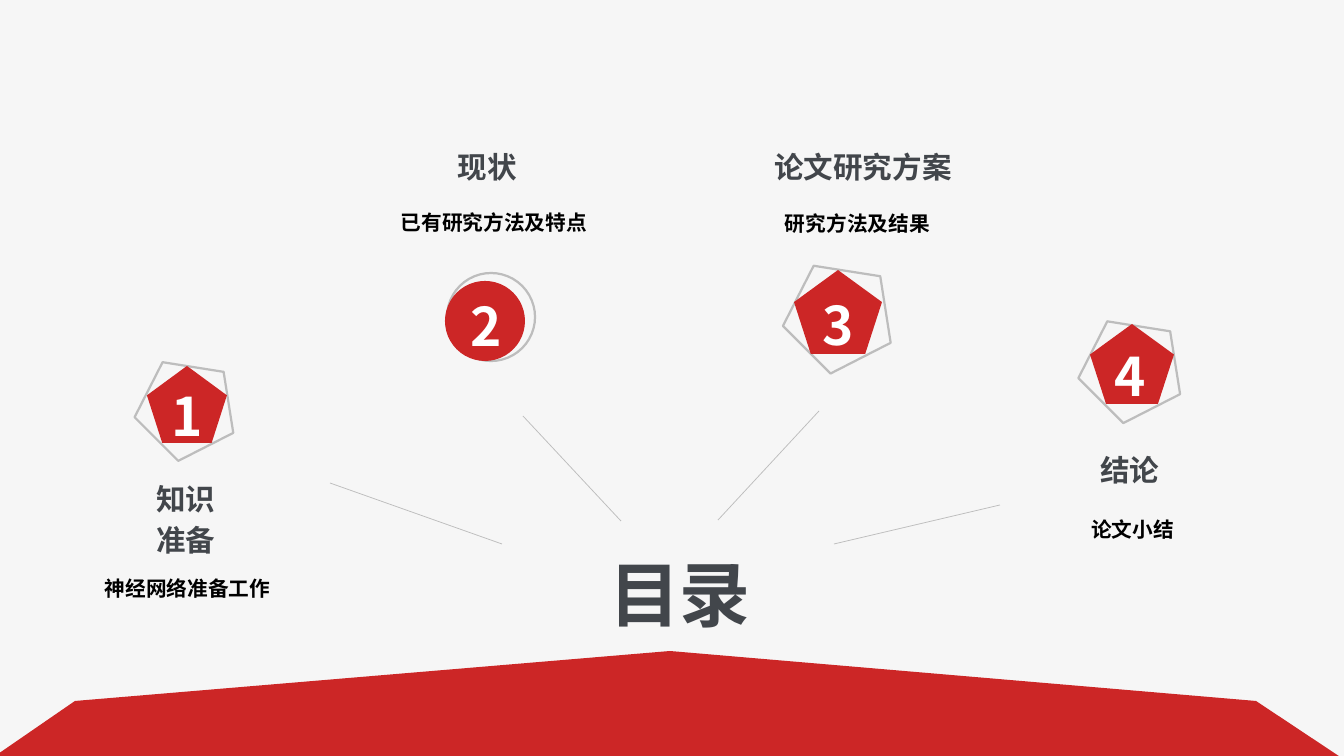
from lxml.etree import SubElement
from pptx import Presentation
from pptx.dml.color import RGBColor
from pptx.enum.shapes import MSO_CONNECTOR, MSO_SHAPE as SHAPE
from pptx.enum.text import MSO_ANCHOR as ANCHOR, MSO_AUTO_SIZE as AUTO, PP_ALIGN as ALIGN
from pptx.oxml.ns import qn
from pptx.util import Emu, Pt

PX = 8602  # EMU in one px
FONT = "Noto Sans CJK SC"
COLORS = {"paper": "F6F6F6", "red": "CC2626", "gray": "BDBDBD",
          "slate": "42464B", "black": "000000", "white": "FFFFFF"}

# Boxes are (left, top, width, height) in px
TOPICS = [
    dict(badge=SHAPE.REGULAR_PENTAGON, fill=(147, 366, 80, 77), ring=(140, 358, 100, 95),
         number=(145, 372, 85, 77), head=(125, 474, 122, 86), sub=(97, 571, 181, 32),
         title="知识\n准备", detail="神经网络准备工作"),
    dict(badge=SHAPE.OVAL, fill=(445, 281, 80, 80), ring=(447, 273, 88, 88),
         number=(434, 282, 104, 77), head=(364, 142, 247, 45), sub=(395, 205, 198, 32),
         title="现状", detail="已有研究方法及特点"),
    dict(badge=SHAPE.REGULAR_PENTAGON, fill=(794, 270, 88, 84), ring=(789, 261, 109, 104),
         number=(791, 281, 94, 77), head=(757, 142, 212, 45), sub=(767, 206, 181, 32),
         title="论文研究方案", detail="研究方法及结果"),
    dict(badge=SHAPE.REGULAR_PENTAGON, fill=(1090, 324, 84, 80), ring=(1084, 317, 103, 98),
         number=(1086, 332, 88, 77), head=(1081, 445, 98, 45), sub=(1042, 512, 181, 32),
         title="结论", detail="论文小结"),
]
RAYS = [(330, 483, 502, 544), (523, 416, 621, 521),
        (819, 411, 718, 520), (1000, 505, 834, 544)]
BASE = [(-34, 776), (75, 701), (670, 651), (1256, 701), (1372, 778)]


def emu(values):
    return [Emu(v * PX) for v in values]


def rgb(name):
    return RGBColor.from_string(COLORS[name])


def write(sp, text, *, size, color="slate"):
    tf = sp.text_frame
    tf.word_wrap = True
    tf.auto_size = AUTO.NONE
    tf.vertical_anchor = ANCHOR.TOP
    tf.margin_left = tf.margin_right = Emu(3 * PX)
    tf.margin_top = tf.margin_bottom = Emu(PX)
    tf.text = text
    for p in tf.paragraphs:
        p.alignment = ALIGN.CENTER
        p.line_spacing = 1.16
        for r in p.runs:
            r.font.size = Pt(size)
            r.font.bold = True
            r.font.color.rgb = rgb(color)
            r.font.name = FONT
            SubElement(r.font._element, qn("a:ea"), typeface=FONT)


def add_text(s, box, text, **fmt):
    write(s.shapes.add_textbox(*emu(box)), text, **fmt)


def paint(sp, fill=None, line=None):
    sp.shadow.inherit = False
    if fill:
        sp.fill.solid()
        sp.fill.fore_color.rgb = rgb(fill)
    else:
        sp.fill.background()
    if line:
        sp.line.color.rgb = rgb(line)
        sp.line.width = Pt(1.5)
    else:
        sp.line.fill.background()


def add_badge(s, topic, number):
    ring = s.shapes.add_shape(topic["badge"], *emu(topic["ring"]))
    paint(ring, line="gray")
    disc = s.shapes.add_shape(topic["badge"], *emu(topic["fill"]))
    paint(disc, fill="red")
    if topic["badge"] == SHAPE.REGULAR_PENTAGON:
        ring.rotation = 45
    add_text(s, topic["number"], str(number), size=36, color="white")


def add_base(s):
    fb = s.shapes.build_freeform(*BASE[0], scale=PX)
    fb.add_line_segments(BASE[1:], close=True)
    paint(fb.convert_to_shape(), fill="red")


def add_ray(s, ends):
    ray = s.shapes.add_connector(MSO_CONNECTOR.STRAIGHT, *emu(ends))
    ray.line.color.rgb = rgb("gray")
    ray.line.width = Pt(0.5)
    SubElement(ray._element.spPr, qn("a:effectLst"))


def main():
    prs = Presentation()
    prs.slide_width, prs.slide_height = emu((1344, 756))
    s = prs.slides.add_slide(prs.slide_layouts[5])
    s.background.fill.solid()
    s.background.fill.fore_color.rgb = rgb("paper")

    # Title above the red base
    add_base(s)
    title = s.shapes.title
    title.left, title.top, title.width, title.height = emu((584, 536, 192, 102))
    write(title, "目录", size=48)

    # Numbered topics
    for number, topic in enumerate(TOPICS, 1):
        add_badge(s, topic, number)
        add_text(s, topic["head"], topic["title"], size=20)
        add_text(s, topic["sub"], topic["detail"], size=14, color="black")

    # Rays from the title to the topics
    for ends in RAYS:
        add_ray(s, ends)

    prs.save("out.pptx")


if __name__ == "__main__":
    main()
